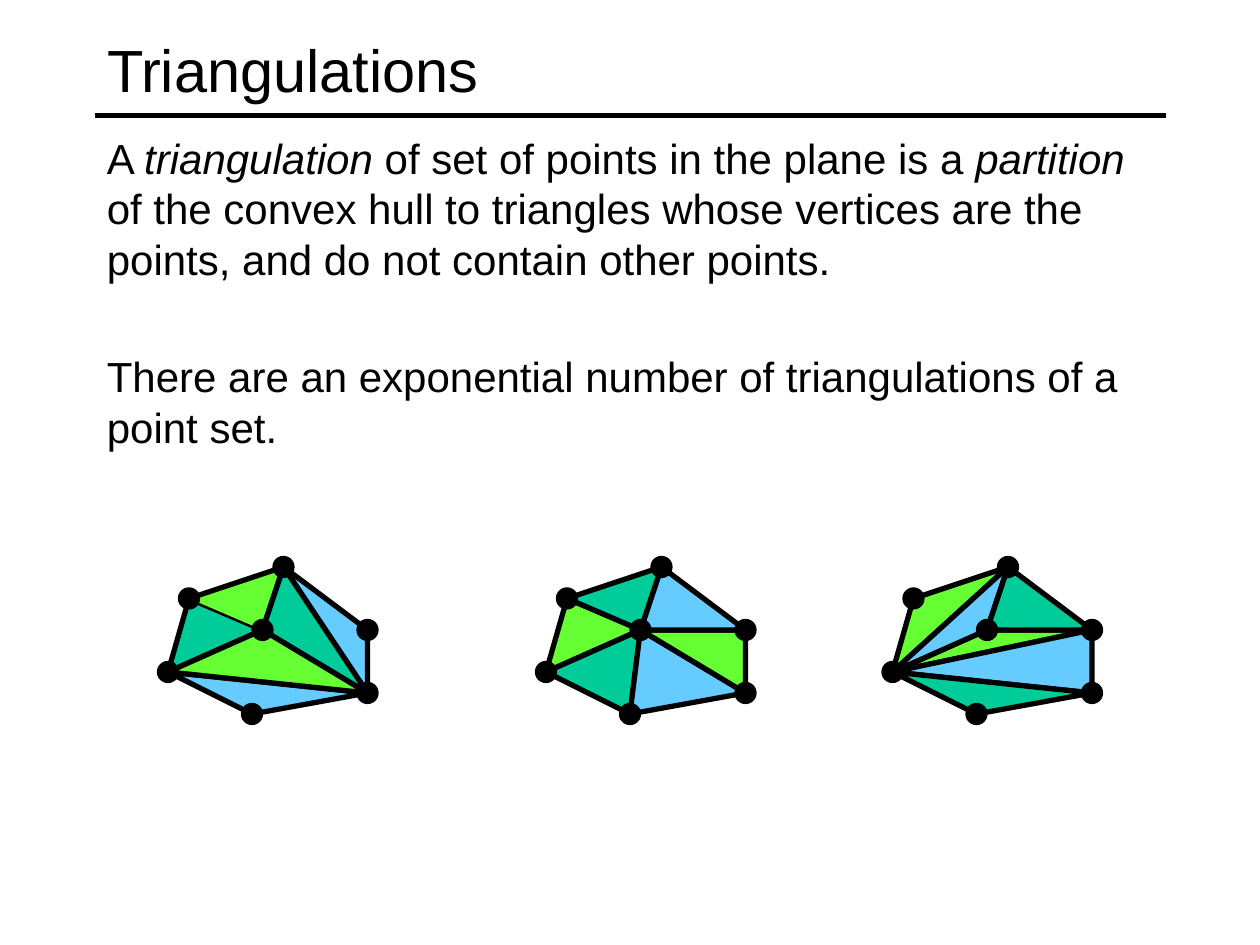
from dataclasses import dataclass

from lxml.etree import SubElement
from pptx import Presentation
from pptx.dml.color import RGBColor
from pptx.enum.shapes import MSO_CONNECTOR, MSO_SHAPE
from pptx.enum.text import MSO_ANCHOR, PP_ALIGN
from pptx.oxml.ns import qn
from pptx.util import Pt

SCALE = 7620


@dataclass(frozen=True)
class Theme:
    """Colours, font and sizes of the slide."""
    font: str = "Arial"
    ink: str = "000000"
    sky: str = "66CCFF"
    teal: str = "00CC99"
    lime: str = "66FF33"
    title: int = 34
    body: int = 24
    pitch: float = 28.9
    gap: int = 38
    edge: int = 3
    rim: float = 0.75


THEME = Theme()
DOT = 20
POINTS = {
    "top": (120, 10),
    "mid": (100, 70),
    "upper": (30, 40),
    "right": (200, 70),
    "left": (10, 110),
    "base": (90, 150),
    "lower": (200, 130),
}
FIGURES = [
    (150, [
        ("top right lower", "sky"),
        ("lower base left", "sky"),
        ("left upper mid", "teal"),
        ("upper top mid", "lime"),
        ("mid top lower", "teal"),
        ("left mid lower", "lime"),
    ]),
    (510, [
        ("upper mid left", "lime"),
        ("left mid base", "teal"),
        ("base mid lower", "sky"),
        ("lower mid right", "lime"),
        ("right mid top", "sky"),
        ("top mid upper", "teal"),
    ]),
    (840, [
        ("left mid right", "lime"),
        ("left lower right", "sky"),
        ("left lower base", "teal"),
        ("left upper top", "lime"),
        ("left top mid", "sky"),
        ("top mid right", "teal"),
    ]),
]
OPEN = (150, "upper top mid")
BODY = [
    "A *triangulation* of set of points in the plane is a *partition* of the "
    "convex hull to triangles whose vertices are the points, and do not "
    "contain other points.",
    "There are an exponential number of triangulations of a point set.",
]


def px(*nums):
    """Turn px lengths into EMU."""
    return [num * SCALE for num in nums]


def hue(code):
    """Turn a hex code into a colour."""
    return RGBColor.from_string(code)


def write(para, text, size, pitch=None, before=0):
    """Write text in a paragraph, with starred parts in italics."""
    para.alignment = PP_ALIGN.LEFT
    para.space_before = Pt(before)
    if pitch:
        para.line_spacing = Pt(pitch)
    for num, part in enumerate(text.split("*")):
        run = para.add_run()
        run.text = part
        run.font.name = THEME.font
        run.font.size = Pt(size)
        run.font.italic = num % 2 == 1
        run.font.color.rgb = hue(THEME.ink)


def paint(shape, fill, width):
    """Give a shape its fill and black outline."""
    shape.shadow.inherit = False
    shape.fill.solid()
    shape.fill.fore_color.rgb = hue(fill)
    shape.line.color.rgb = hue(THEME.ink)
    shape.line.width = Pt(width)


def header(slide, left, top, width, height):
    """Place the title and the rule near its foot."""
    title = slide.shapes.title
    title.left, title.top, title.width, title.height = px(left, top, width, height)
    title.text_frame.vertical_anchor = MSO_ANCHOR.MIDDLE
    write(title.text_frame.paragraphs[0], "Triangulations", size=THEME.title)
    level = top + height - 10
    rule = slide.shapes.add_connector(
        MSO_CONNECTOR.STRAIGHT, *px(left, level, left + width, level))
    rule.line.color.rgb = hue(THEME.ink)
    rule.line.width = Pt(THEME.edge)
    SubElement(rule.line._ln.getparent(), qn("a:effectLst"))


def body(slide, left, top, width, height):
    """Place the two paragraphs of text."""
    frame = slide.shapes.add_textbox(*px(left, top, width, height)).text_frame
    frame.word_wrap = True
    for num, text in enumerate(BODY):
        para = frame.add_paragraph() if num else frame.paragraphs[0]
        write(para, text, size=THEME.body, pitch=THEME.pitch,
              before=THEME.gap if num else 0)


def figure(slide, left, top, faces):
    """Place one triangulation with its points on top."""
    shapes = slide.shapes.add_group_shape().shapes
    spots = {name: (left + x, top + y) for name, (x, y) in POINTS.items()}
    for names, tint in faces:
        first, *rest = [spots[name] for name in names.split()]
        pen = shapes.build_freeform(*first, scale=SCALE)
        pen.add_line_segments(rest, close=(left, names) != OPEN)
        paint(pen.convert_to_shape(), getattr(THEME, tint), THEME.edge)
    for x, y in spots.values():
        dot = shapes.add_shape(
            MSO_SHAPE.OVAL, *px(x - DOT // 2, y - DOT // 2, DOT, DOT))
        paint(dot, THEME.ink, THEME.rim)


def main():
    """Build the slide and save it."""
    deck = Presentation()
    deck.slide_width, deck.slide_height = px(1200, 900)
    slide = deck.slides.add_slide(deck.slide_layouts[5])
    header(slide, 90, 10, 1020, 110)
    body(slide, 90, 120, 1020, 334)
    for left, faces in FIGURES:
        figure(slide, left, 530, faces)
    deck.save("out.pptx")


if __name__ == "__main__":
    main()
